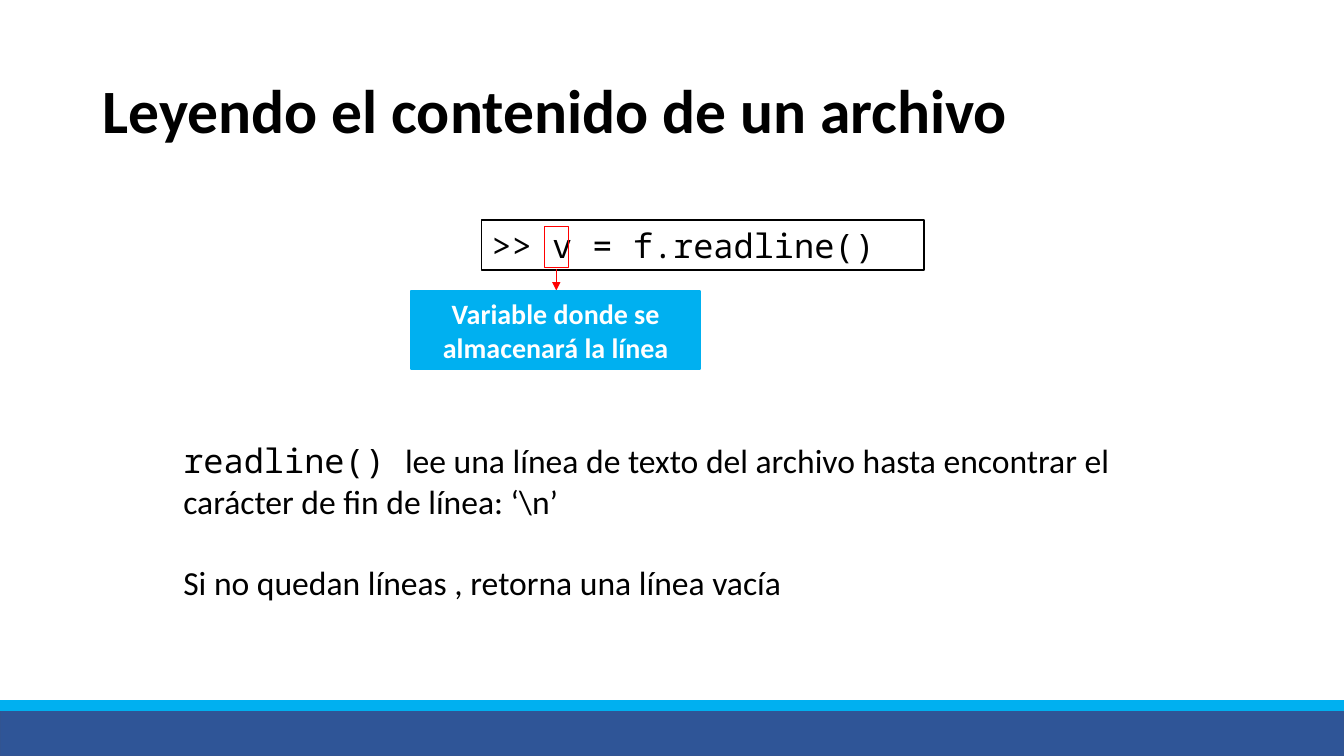
from pptx import Presentation
from pptx.dml.color import RGBColor
from pptx.enum.shapes import MSO_CONNECTOR, MSO_SHAPE
from pptx.enum.text import MSO_ANCHOR, MSO_AUTO_SIZE, PP_ALIGN
from pptx.oxml.ns import qn
from pptx.util import Cm, Pt
from lxml.etree import SubElement

BLACK = RGBColor(0x00, 0x00, 0x00)
WHITE = RGBColor(0xFF, 0xFF, 0xFF)
RED = RGBColor(0xFF, 0x00, 0x00)
SKY = RGBColor(0x00, 0xB0, 0xF0)
NAVY = RGBColor(0x2F, 0x55, 0x97)
NAVY_EDGE = RGBColor(0x32, 0x54, 0x91)
SANS, MONO = "Calibri", "Noto Sans Mono"


def add_text(p, text, size=24, font=SANS, color=BLACK, bold=False, align=PP_ALIGN.LEFT):
    p.alignment = align
    r = p.add_run()
    r.text = text
    r.font.size = Pt(size)
    r.font.name = font
    r.font.bold = bold
    r.font.color.rgb = color


def add_box(left, top, width, height, fill, line, weight=1):
    sp = s.shapes.add_shape(MSO_SHAPE.RECTANGLE, Cm(left), Cm(top), Cm(width), Cm(height))
    sp.shadow.inherit = False
    if fill is None:
        sp.fill.background()
    else:
        sp.fill.solid()
        sp.fill.fore_color.rgb = fill
    sp.line.color.rgb = line
    sp.line.width = Pt(weight)
    sp.text_frame.word_wrap = True
    return sp


prs = Presentation()
prs.slide_width, prs.slide_height = Cm(33.87), Cm(19.05)
s = prs.slides.add_slide(prs.slide_layouts[5])

# Footer bands
add_box(0, 17.86, 33.87, 1.19, NAVY, NAVY_EDGE)
add_box(0, 17.65, 33.87, 0.25, SKY, SKY)

# Title
title = s.shapes.title
title.left, title.top, title.width, title.height = Cm(2.33), Cm(1.02), Cm(29.21), Cm(3.68)
tf = title.text_frame
tf.auto_size = MSO_AUTO_SIZE.NONE
tf.vertical_anchor = MSO_ANCHOR.MIDDLE
tf.paragraphs[0].line_spacing = 0.9
add_text(tf.paragraphs[0], "Leyendo el contenido de un archivo", size=44, bold=True)

# Explanation
tf = s.shapes.add_textbox(Cm(4.37), Cm(10.97), Cm(26.7), Cm(4.37)).text_frame
tf.word_wrap = True
p = tf.paragraphs[0]
add_text(p, "readline() ", font=MONO)
add_text(p, "lee una línea de texto del archivo hasta encontrar el carácter de fin de línea: ‘\\n’")
p = tf.add_paragraph()
p.space_before = Pt(29)
add_text(p, "Si no quedan líneas , retorna una línea vacía")

# Code line with its variable marked and labelled
code = add_box(12.14, 5.54, 11.15, 1.27, WHITE, BLACK)
add_text(code.text_frame.paragraphs[0], ">> v = f.readline()", font=MONO)

add_box(13.72, 5.71, 0.61, 1.04, None, RED)

arrow = s.shapes.add_connector(MSO_CONNECTOR.STRAIGHT, Cm(14.02), Cm(6.78), Cm(14.02), Cm(7.32))
arrow.line.color.rgb = RED
arrow.line.width = Pt(0.5)
SubElement(arrow.line._get_or_add_ln(), qn("a:tailEnd"), type="triangle")
SubElement(arrow._element.spPr, qn("a:effectLst"))

label = add_box(10.36, 7.34, 7.29, 1.96, SKY, SKY, 1.5)
add_text(label.text_frame.paragraphs[0], "Variable donde se almacenará la línea",
         size=20, color=WHITE, bold=True, align=PP_ALIGN.CENTER)

prs.save("out.pptx")
